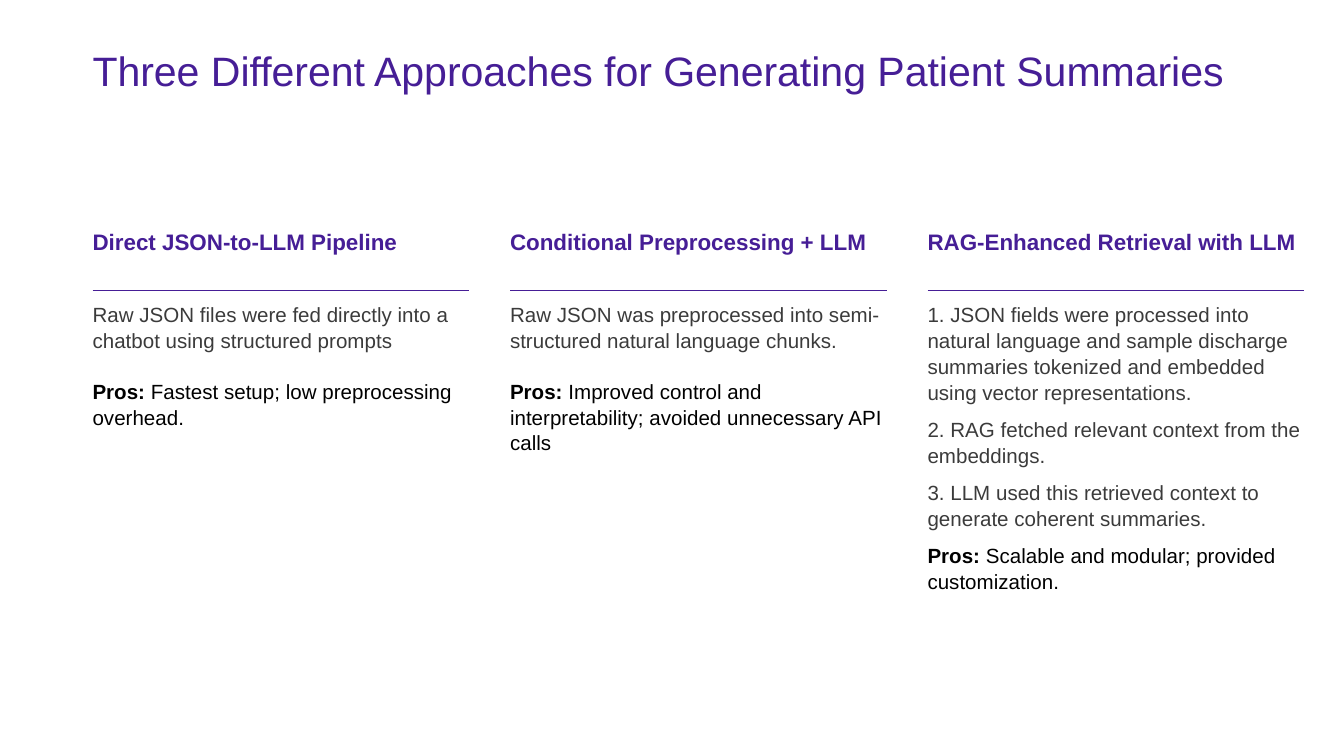
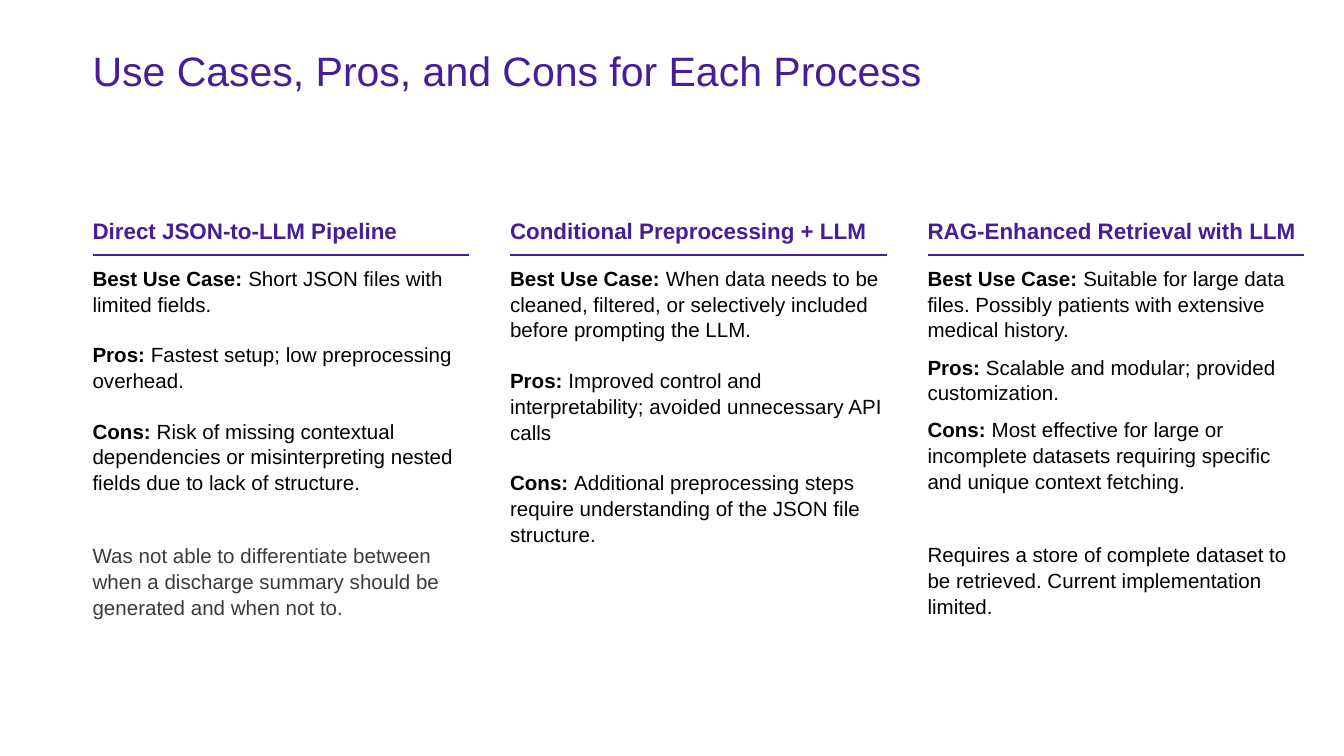
import dataclasses

import pptx
import pptx.dml.color
import pptx.enum.shapes
import pptx.enum.text
import pptx.oxml.ns
import pptx.util
from lxml import etree
from pptx.util import Cm, Pt

ANCHOR = pptx.enum.text.MSO_ANCHOR


@dataclasses.dataclass(frozen=True)
class Theme:
    font: str = "Arial"
    purple: str = "461E96"
    grey: str = "3B3B3B"
    black: str = "000000"
    title_size: float = 22
    heading_size: float = 12
    body_size: float = 11
    line_spacing: float = 1.05
    rule_width: float = 0.75


@dataclasses.dataclass(frozen=True)
class Entry:
    """One paragraph: an optional bold label, its text and the space before it."""
    text: str
    label: str = ""
    gap: float = 0
    color: str = Theme.black


MARGIN, COLUMN_WIDTH, COLUMN_PITCH = 1.75, 7.12, 7.89
TIGHT = 6
LINE = 13.25
BREAK = LINE + 2 * TIGHT

HEADINGS = (
    "Direct JSON-to-LLM Pipeline",
    "Conditional Preprocessing + LLM",
    "RAG-Enhanced Retrieval with LLM",
)
PROS = (
    Entry("Fastest setup; low preprocessing overhead.", "Pros:", LINE),
    Entry("Improved control and interpretability; avoided unnecessary API calls",
          "Pros:", LINE),
    Entry("Scalable and modular; provided customization.", "Pros:", TIGHT),
)

APPROACHES = (
    [Entry("Raw JSON files were fed directly into a chatbot using structured prompts",
           color=Theme.grey),
     PROS[0]],
    [Entry("Raw JSON was preprocessed into semi-structured natural language chunks.",
           color=Theme.grey),
     PROS[1]],
    [Entry("1. JSON fields were processed into natural language and sample discharge "
           "summaries tokenized and embedded using vector representations.",
           color=Theme.grey),
     Entry("2. RAG fetched relevant context from the embeddings.",
           gap=TIGHT, color=Theme.grey),
     Entry("3. LLM used this retrieved context to generate coherent summaries.",
           gap=TIGHT, color=Theme.grey),
     PROS[2]],
)

USE_CASES = (
    [Entry("Short JSON files with limited fields.", "Best Use Case:"),
     PROS[0],
     Entry("Risk of missing contextual dependencies or misinterpreting nested fields "
           "due to lack of structure.", "Cons:", LINE),
     Entry("Was not able to differentiate between when a discharge summary should be "
           "generated and when not to.", gap=BREAK, color=Theme.grey)],
    [Entry("When data needs to be cleaned, filtered, or selectively included before "
           "prompting the LLM.", "Best Use Case:"),
     PROS[1],
     Entry("Additional preprocessing steps require understanding of the JSON file "
           "structure.", "Cons:", LINE)],
    [Entry("Suitable for large data files. Possibly patients with extensive medical "
           "history.", "Best Use Case:"),
     PROS[2],
     Entry("Most effective for large or incomplete datasets requiring specific and "
           "unique context fetching.", "Cons:", TIGHT),
     Entry("Requires a store of complete dataset to be retrieved. Current "
           "implementation limited.", gap=BREAK)],
)


class Composer:
    def __init__(self, deck, theme):
        self.deck = deck
        self.theme = theme
        self.page = None

    def new_page(self, title):
        self.page = self.deck.slides.add_slide(self.deck.slide_layouts[6])
        self.text(MARGIN, 0.81, 22.9, 2.01, [Entry(title, color=self.theme.purple)],
                  self.theme.title_size)

    def text(self, left, top, width, height, entries, size, bold=False,
             anchor=ANCHOR.TOP):
        box = self.page.shapes.add_textbox(Cm(left), Cm(top), Cm(width), Cm(height))
        frame = box.text_frame
        frame_format = {"word_wrap": True, "vertical_anchor": anchor,
                        "margin_left": 0, "margin_right": 0,
                        "margin_top": 0, "margin_bottom": 0}
        for name, value in frame_format.items():
            setattr(frame, name, value)
        for index, entry in enumerate(entries):
            para = frame.add_paragraph() if index else frame.paragraphs[0]
            para.line_spacing = self.theme.line_spacing
            para.space_before = Pt(entry.gap)
            if entry.label:
                self.span(para, entry.label + " ", size, entry.color, True)
            self.span(para, entry.text, size, entry.color, bold)

    def span(self, para, text, size, color, bold):
        span = para.add_run()
        span.text = text
        span_format = {"name": self.theme.font, "size": Pt(size), "bold": bold}
        for name, value in span_format.items():
            setattr(span.font, name, value)
        span.font.color.rgb = pptx.dml.color.RGBColor.from_string(color)

    def rule(self, left, top, width):
        line = self.page.shapes.add_connector(
            pptx.enum.shapes.MSO_CONNECTOR.STRAIGHT,
            Cm(left), Cm(top), Cm(left + width), Cm(top))
        line.line.color.rgb = pptx.dml.color.RGBColor.from_string(self.theme.purple)
        line.line.width = Pt(self.theme.rule_width)
        etree.SubElement(line._element.spPr, pptx.oxml.ns.qn("a:effectLst"))

    def columns(self, bodies, heading_top, rule_top, body_top, anchor):
        """Place three headed, ruled columns side by side."""
        for index, (heading, entries) in enumerate(zip(HEADINGS, bodies)):
            left = MARGIN + index * COLUMN_PITCH
            self.text(left, heading_top, COLUMN_WIDTH, 0.99,
                      [Entry(heading, color=self.theme.purple)],
                      self.theme.heading_size, True, anchor)
            self.rule(left, rule_top, COLUMN_WIDTH)
            self.text(left, body_top, COLUMN_WIDTH, 6.05, entries,
                      self.theme.body_size)


def main():
    deck = pptx.Presentation()
    deck.slide_width, deck.slide_height = Cm(25.4), Cm(14.29)
    composer = Composer(deck, Theme())

    composer.new_page("Three Different Approaches for Generating Patient Summaries")
    composer.columns(APPROACHES, 4.29, 5.49, 5.69, ANCHOR.TOP)

    composer.new_page("Use Cases, Pros, and Cons for Each Process")
    composer.columns(USE_CASES, 3.63, 4.82, 5.0, ANCHOR.BOTTOM)

    deck.save("out.pptx")


if __name__ == "__main__":
    main()
